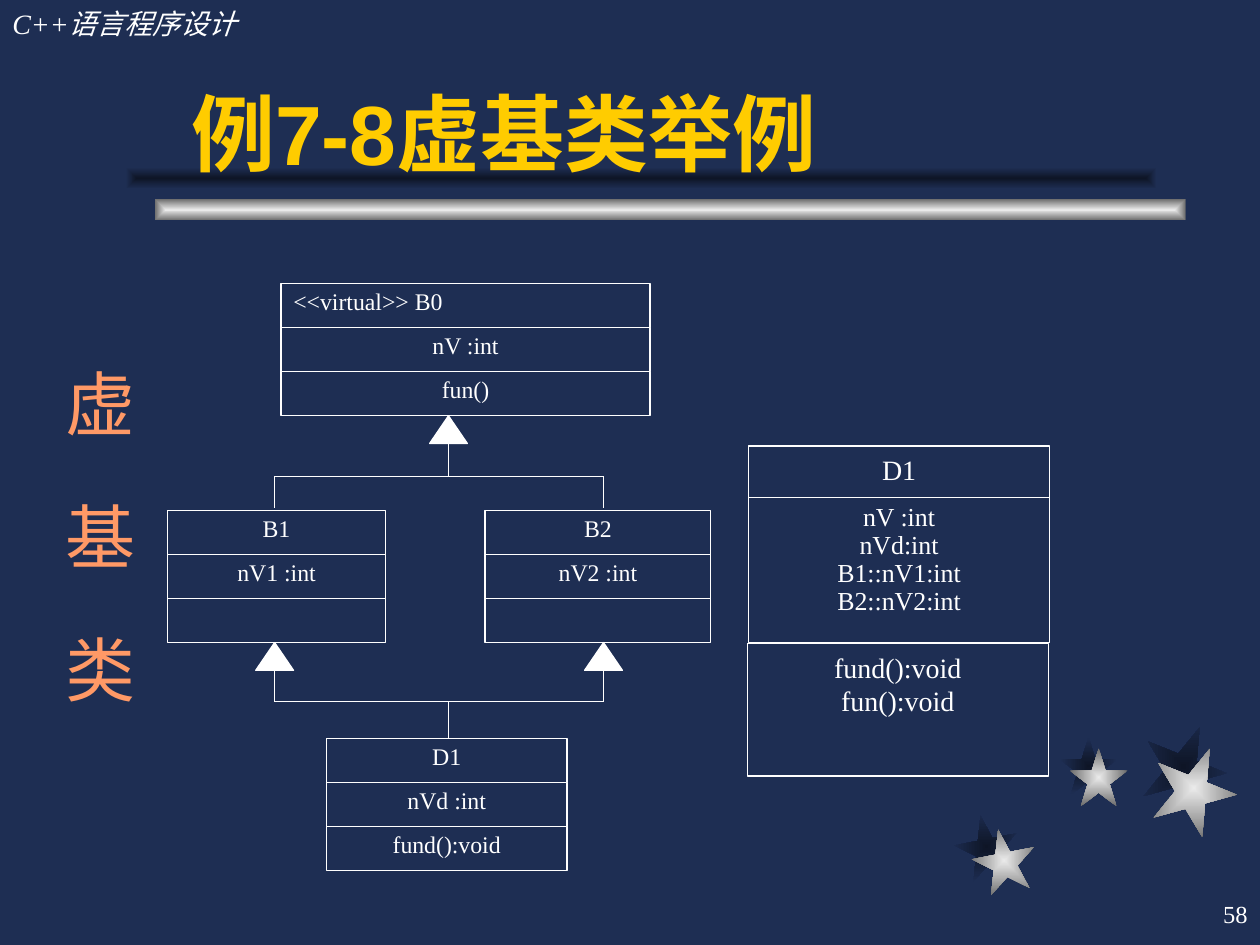
"""Build the virtual base class slide with its UML diagram."""
from dataclasses import dataclass

from lxml.etree import SubElement
from pptx import Presentation
from pptx.dml.color import RGBColor
from pptx.enum.shapes import MSO_CONNECTOR as LINE, MSO_SHAPE as SHAPE
from pptx.enum.text import MSO_ANCHOR as ANCHOR, PP_ALIGN as ALIGN
from pptx.oxml.ns import qn
from pptx.util import Inches, Pt


@dataclass
class Theme:
    bg: str = "1E2E53"
    ink: str = "FFFFFF"
    gold: str = "FFCC00"
    coral: str = "FF9966"
    silver: tuple = ("EAEAEA", "6C6C6C")
    shade: tuple = ("0E1526", "1E2E53")
    serif: str = "Times New Roman"
    sans: str = "Arial"
    title: float = 48
    side: float = 40
    large: float = 16
    member: float = 14.8
    page: float = 14
    small: float = 13.6
    stroke: float = 0.74


th = Theme()
rgb = RGBColor.from_string
prs = Presentation()
prs.slide_width, prs.slide_height = Inches(10), Inches(7.5)
col, row = prs.slide_width / 10, prs.slide_height / 7.5
s = prs.slides.add_slide(prs.slide_layouts[6])
s.background.fill.solid()
s.background.fill.fore_color.rgb = rgb(th.bg)


def place(kind, x, y, w, h, fill=None, outlined=True, rotation=0):
    """Add a preset shape at grid columns and rows."""
    sp = s.shapes.add_shape(kind, int(x * col), int(y * row), int(w * col), int(h * row))
    sp.shadow.inherit = False
    sp.rotation = rotation
    if isinstance(fill, tuple):
        sp.fill.gradient()
        for stop, color, position in zip(sp.fill.gradient_stops, fill, (0, 1)):
            stop.color.rgb, stop.position = rgb(color), position
        grad = sp._element.spPr.find(qn("a:gradFill"))
        grad.remove(grad.find(qn("a:lin")))
        center = SubElement(grad, qn("a:path"), {"path": "rect"})
        SubElement(center, qn("a:fillToRect"), dict.fromkeys("ltrb", "50000"))
    elif fill:
        sp.fill.solid()
        sp.fill.fore_color.rgb = rgb(fill)
    else:
        sp.fill.background()
    if outlined:
        sp.line.color.rgb, sp.line.width = rgb(th.ink), Pt(th.stroke)
    else:
        sp.line.fill.background()
    return sp


def write(sp, lines, size, color=th.ink, anchor=ANCHOR.TOP, para=None, **font):
    """Fill a shape with one paragraph per line."""
    tf = sp.text_frame
    tf.word_wrap, tf.vertical_anchor = True, anchor
    for i, line in enumerate(lines):
        p = tf.paragraphs[0] if i == 0 else tf.add_paragraph()
        for name, value in ({"alignment": ALIGN.CENTER} | (para or {})).items():
            setattr(p, name, value)
        r = p.add_run()
        r.text = line
        r.font.color.rgb = rgb(color)
        for name, value in ({"name": th.serif, "size": Pt(size)} | font).items():
            setattr(r.font, name, value)
    return tf


stars = [(7.58, 6.47, 0.5, 349), (8.41, 5.85, 0.46, 0), (9.06, 5.75, 0.67, 22),
         (7.72, 6.58, 0.5, 349), (8.49, 5.94, 0.46, 0), (9.14, 5.92, 0.67, 22)]
for i, (x, y, size, turn) in enumerate(stars):
    place(SHAPE.STAR_5_POINT, x, y, size, size, th.shade if i < 3 else th.silver, False, turn)
for x, y, fill in ((1.23, 1.58, th.silver), (1, 1.33, th.shade)):
    place(SHAPE.RECTANGLE, x, y, 8.18, 0.17, fill, False)

left = {"alignment": ALIGN.LEFT}
labels = [
    ((0, 0, 3.08, 0.37), "C++语言程序设计", th.large,
     {"para": left, "italic": True}),
    ((7.92, 7, 2.08, 0.5), "58", th.page,
     {"para": {"alignment": ALIGN.RIGHT}, "anchor": ANCHOR.MIDDLE}),
    ((1.42, 0.25, 7.83, 1.25), "例7-8虚基类举例", th.title,
     {"para": left, "anchor": ANCHOR.BOTTOM, "color": th.gold, "name": th.sans, "bold": True}),
    ((0.25, 0.83, 0.86, 6.33), "虚基类", th.side, {"para": left, "color": th.coral}),
]
for (x, y, w, h), text, size, style in labels:
    sp = s.shapes.add_textbox(int(x * col), int(y * row), int(w * col), int(h * row))
    tf = write(sp, [text], size, **style)
tf._txBody.bodyPr.set("vert", "eaVert")
tf.margin_top, tf.margin_left, tf.margin_right = int(2.1 * row), 0, 0
tf.paragraphs[0].runs[0].font._element.set("spc", "3600")

tight = {"line_spacing": 0.9}
members = ["nV :int", "nVd:int", "B1::nV1:int", "B2::nV2:int"]
for x, y, h, lines, size, para in (
        (5.94, 3.54, 0.41, ["D1"], th.large, None),
        (5.94, 3.95, 1.15, members, th.member, tight),
        (5.93, 5.11, 1.05, ["fund():void", "fun():void"], th.large, None)):
    write(place(SHAPE.RECTANGLE, x, y, 2.39, h), lines, size, para=para)

classes = [
    (1.33, 4.05, 1.73, ["B1", "nV1 :int", ""]),
    (3.85, 4.05, 1.79, ["B2", "nV2 :int", ""]),
    (2.59, 5.86, 1.91, ["D1", "nVd :int", "fund():void"]),
    (2.23, 2.25, 2.93, ["<<virtual>> B0", "nV :int", "fun()"]),
]
for x, y, w, parts in classes:
    for i, part in enumerate(parts):
        sp = place(SHAPE.RECTANGLE, x, y + 0.35 * i, w, 0.35)
        if part:
            align = ALIGN.JUSTIFY if part.startswith("<<") else ALIGN.CENTER
            write(sp, [part], th.small, para=tight | {"alignment": align})

b1, mid, b2 = 2.18, 3.56, 4.79
for x, y in ((b1, 5.1), (b2, 5.1), (mid, 3.3)):
    place(SHAPE.ISOSCELES_TRIANGLE, x - 0.15, y, 0.3, 0.22, th.ink)
for x1, y1, x2, y2 in (
        (b1, 5.32, b1, 5.57), (b2, 5.32, b2, 5.57), (b1, 5.57, b2, 5.57), (mid, 5.86, mid, 5.57),
        (b1, 3.78, b2, 3.78), (b1, 3.78, b1, 4.03), (b2, 3.78, b2, 4.03), (mid, 3.52, mid, 3.78)):
    link = s.shapes.add_connector(
        LINE.STRAIGHT, int(x1 * col), int(y1 * row), int(x2 * col), int(y2 * row))
    link.line.color.rgb, link.line.width = rgb(th.ink), Pt(th.stroke)
    SubElement(link._element.spPr, qn("a:effectLst"))

prs.save("out.pptx")
